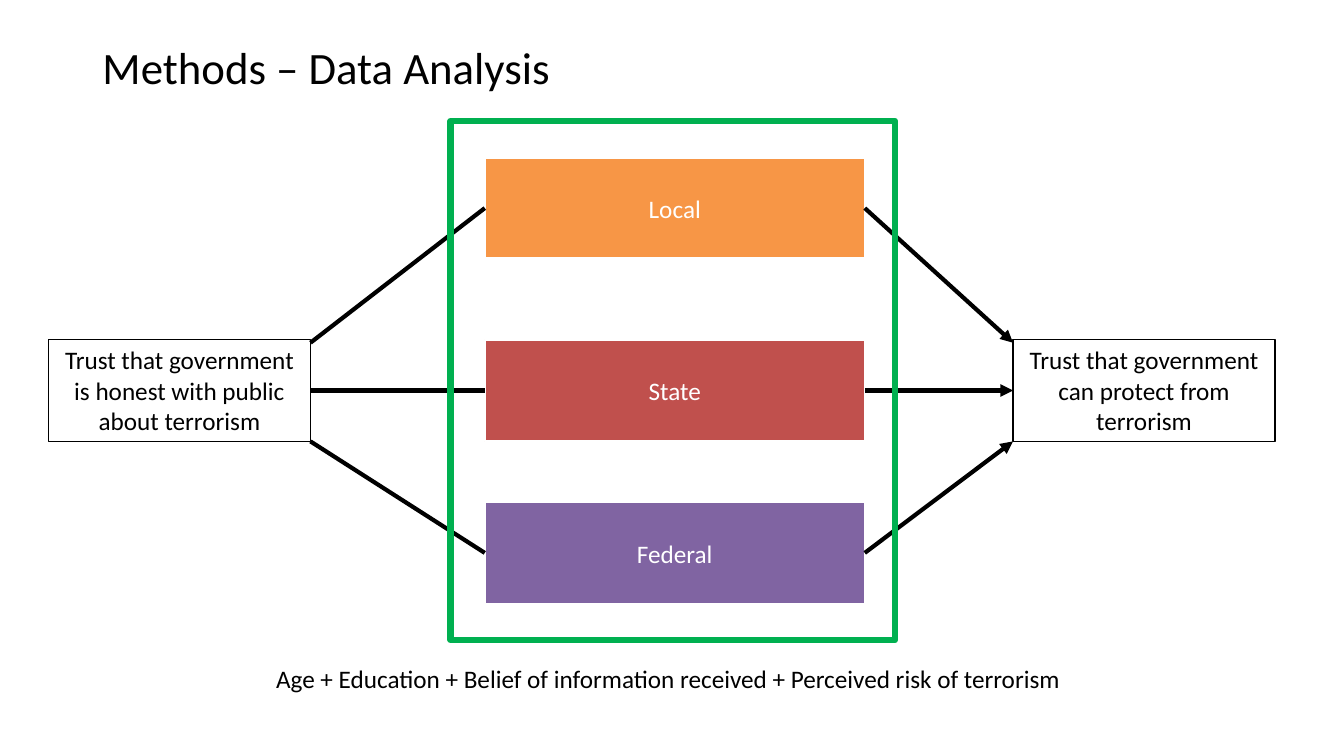
from lxml import etree
from pptx import Presentation
from pptx.dml.color import RGBColor
from pptx.enum import shapes, text
from pptx.oxml import ns
from pptx.util import Pt

BLACK = RGBColor(0x00, 0x00, 0x00)
WHITE = RGBColor(0xFF, 0xFF, 0xFF)
ORANGE = RGBColor(0xF7, 0x96, 0x46)
RED = RGBColor(0xC0, 0x50, 0x4D)
PURPLE = RGBColor(0x80, 0x64, 0xA2)
GREEN = RGBColor(0x00, 0xB0, 0x50)

FONT = "Calibri"
TOP, LEFT, BOTTOM, RIGHT = range(4)
TRUST_TOP, TRUST_WIDTH, TRUST_HEIGHT = 242.6, 187.2, 72.7
LEVEL_LEFT, LEVEL_WIDTH = 346.3, 271.4
LEVELS = [
    ("Local", 113, 71.3, ORANGE),
    ("State", TRUST_TOP, TRUST_HEIGHT, RED),
    ("Federal", 358.6, TRUST_HEIGHT, PURPLE),
]


def write(frame, wording, size, color, align, anchor):
    frame.word_wrap = True
    frame.auto_size = text.MSO_AUTO_SIZE.NONE
    frame.vertical_anchor = anchor
    paragraph = frame.paragraphs[0]
    paragraph.alignment = align
    run = paragraph.add_run()
    run.text = wording
    run.font.name = FONT
    run.font.size = Pt(size)
    run.font.color.rgb = color
    return paragraph


def add_title(slide, wording):
    title = slide.shapes.title
    title.left, title.top, title.width, title.height = Pt(66), Pt(28.8), Pt(828), Pt(104.4)
    paragraph = write(title.text_frame, wording, 32, BLACK,
                      text.PP_ALIGN.LEFT, text.MSO_ANCHOR.TOP)
    paragraph.line_spacing = 0.9


def add_box(slide, left, top, width, height, fill, line, line_width):
    box = slide.shapes.add_shape(shapes.MSO_SHAPE.RECTANGLE,
                                 Pt(left), Pt(top), Pt(width), Pt(height))
    box.shadow.inherit = False
    if fill is None:
        box.fill.background()
    else:
        box.fill.solid()
        box.fill.fore_color.rgb = fill
    box.line.color.rgb = line
    box.line.width = Pt(line_width)
    return box


def add_trust(slide, left, wording):
    trust = add_box(slide, left, TRUST_TOP, TRUST_WIDTH, TRUST_HEIGHT, WHITE, BLACK, 1)
    write(trust.text_frame, wording, 18, BLACK, text.PP_ALIGN.CENTER, text.MSO_ANCHOR.TOP)
    return trust


def add_level(slide, wording, top, height, fill):
    level = add_box(slide, LEVEL_LEFT, top, LEVEL_WIDTH, height, fill, WHITE, 1.5)
    write(level.text_frame, wording, 18, WHITE, text.PP_ALIGN.CENTER, text.MSO_ANCHOR.MIDDLE)
    return level


def add_link(slide, start, end, arrow=False):
    link = slide.shapes.add_connector(shapes.MSO_CONNECTOR.STRAIGHT, *start, *end)
    link.line.color.rgb = BLACK
    link.line.width = Pt(3)
    if arrow:
        etree.SubElement(link.line._get_or_add_ln(), ns.qn("a:tailEnd"), type="triangle")
    etree.SubElement(link._element.spPr, ns.qn("a:effectLst"))
    return link


def link_level(slide, honesty, level, protection, trust_y):
    middle = level.top + level.height // 2
    level_right = level.left + level.width
    honesty_right = honesty.left + honesty.width
    cause = add_link(slide, (honesty_right, trust_y), (level.left, middle))
    cause.end_connect(level, LEFT)
    effect = add_link(slide, (level_right, middle), (protection.left, trust_y), arrow=True)
    effect.begin_connect(level, RIGHT)
    if trust_y == middle:
        cause.begin_connect(honesty, RIGHT)
        effect.end_connect(protection, LEFT)


def add_covariates(slide, wording):
    covariates = slide.shapes.add_textbox(Pt(190.1), Pt(470.2), Pt(584.6), Pt(29))
    write(covariates.text_frame, wording, 18, BLACK, text.PP_ALIGN.LEFT, text.MSO_ANCHOR.TOP)


def main():
    deck = Presentation()
    deck.slide_width, deck.slide_height = Pt(960), Pt(540)
    slide = deck.slides.add_slide(deck.slide_layouts[5])

    add_title(slide, "Methods – Data Analysis")
    protection = add_trust(slide, 723.6, "Trust that government can protect from terrorism")
    honesty = add_trust(slide, 34.6, "Trust that government is honest with public about terrorism")
    levels = [add_level(slide, *level) for level in LEVELS]

    trust_ys = (Pt(244.8), honesty.top + honesty.height // 2, honesty.top + honesty.height)
    for level, trust_y in zip(levels, trust_ys):
        link_level(slide, honesty, level, protection, trust_y)

    add_covariates(slide, "Age + Education + Belief of information received"
                          " + Perceived risk of terrorism")
    add_box(slide, 321.8, 86.4, 317.5, 370.8, None, GREEN, 4.5)
    deck.save("out.pptx")


if __name__ == "__main__":
    main()
